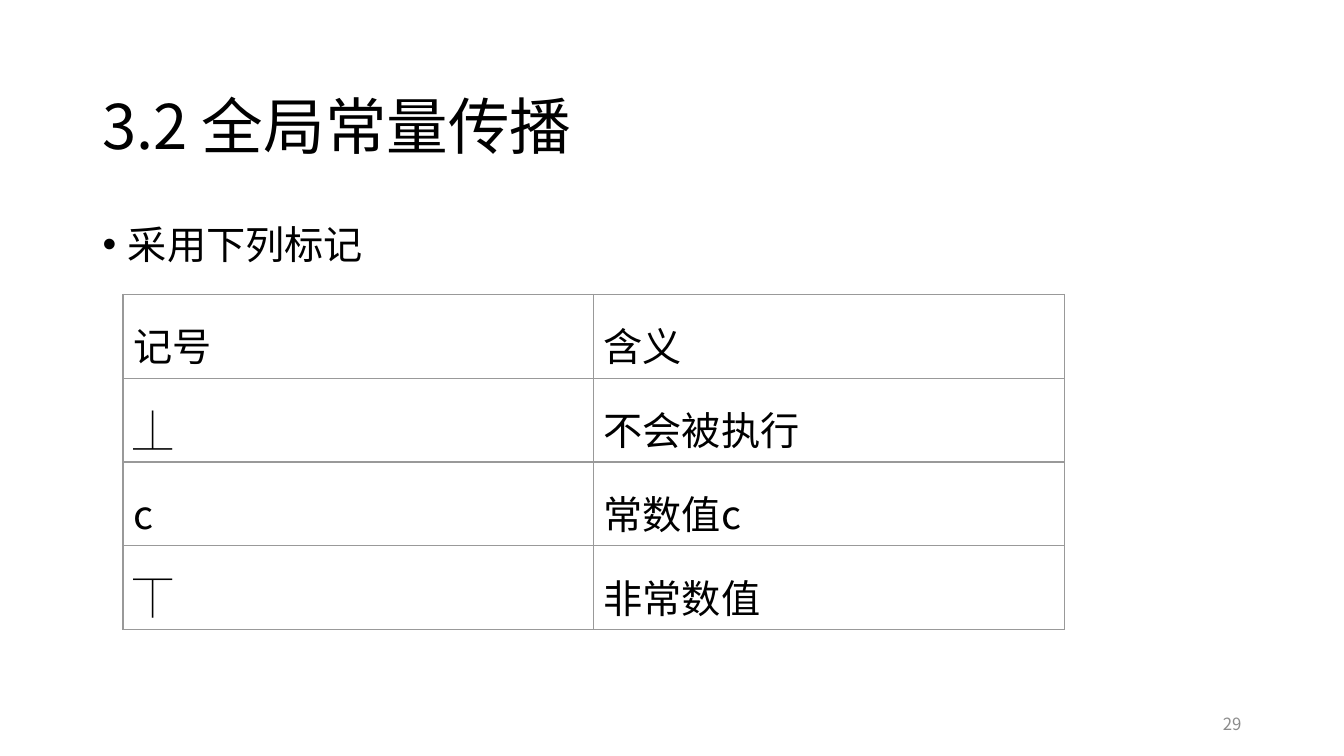
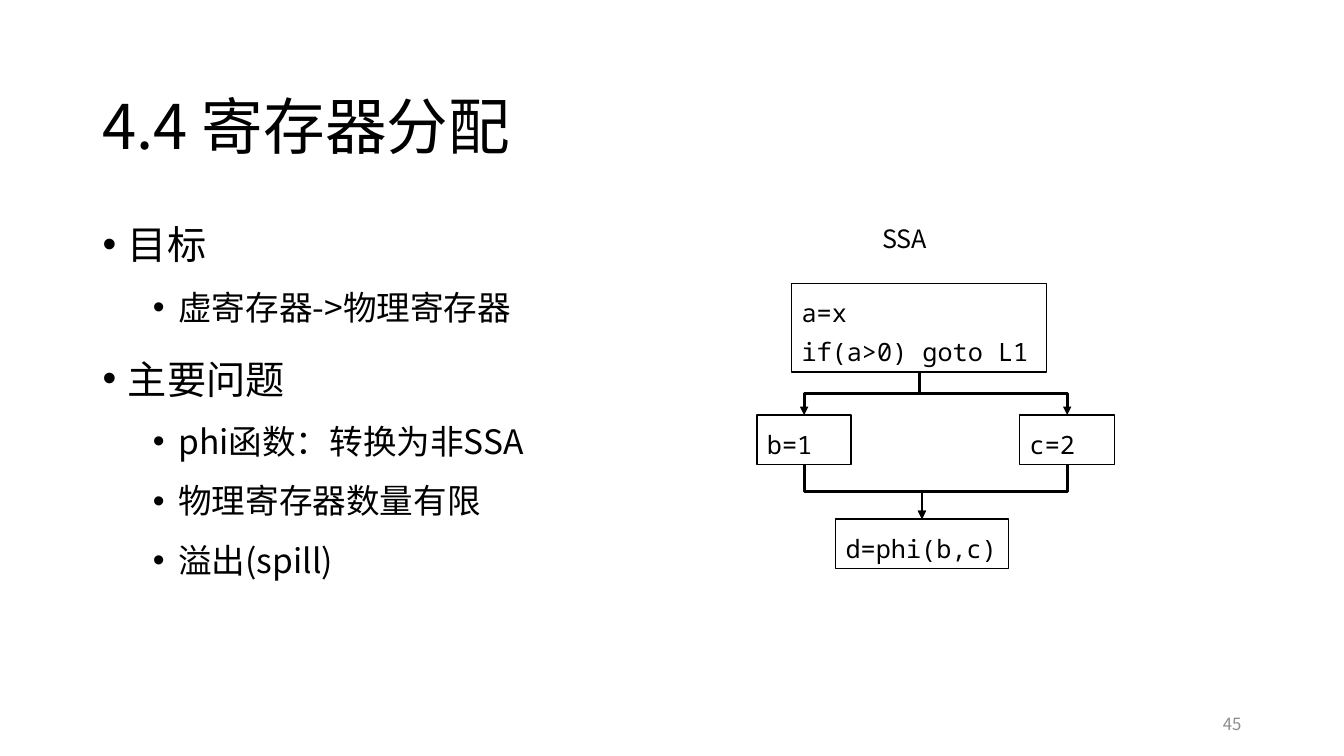
"""Build two compiler lecture slides: constant propagation marks and register allocation."""
from dataclasses import dataclass

from lxml import etree
from pptx import Presentation
from pptx.dml.color import RGBColor
from pptx.enum.shapes import MSO_CONNECTOR, MSO_SHAPE
from pptx.enum.text import MSO_ANCHOR, MSO_AUTO_SIZE, PP_ALIGN
from pptx.oxml.ns import qn
from pptx.presentation import Presentation as Deck
from pptx.shapes.autoshape import Shape
from pptx.slide import Slide
from pptx.text.text import TextFrame
from pptx.util import Cm, Pt

ELBOW = MSO_CONNECTOR.ELBOW
RECTANGLE = MSO_SHAPE.RECTANGLE
MIDDLE, TOP = MSO_ANCHOR.MIDDLE, MSO_ANCHOR.TOP
LEFT, RIGHT = PP_ALIGN.LEFT, PP_ALIGN.RIGHT
FIXED_SIZE = MSO_AUTO_SIZE.NONE
TOP_SIDE, BOTTOM_SIDE = 0, 2
QUARTER_TURN = "5400000"
LINE_SPACING = 1.3
COLOURS = {"text": "000000", "muted": "8C8C8C", "grid": "999999", "paper": "FFFFFF"}


@dataclass(frozen=True)
class Area:
    left: float
    top: float
    width: float
    height: float

    def lengths(self) -> tuple[Cm, Cm, Cm, Cm]:
        return Cm(self.left), Cm(self.top), Cm(self.width), Cm(self.height)


@dataclass(frozen=True)
class TextStyle:
    size: float
    font: str = "Noto Sans CJK SC"
    colour: str = "text"


@dataclass(frozen=True)
class BulletLevel:
    style: TextStyle
    margin: float
    space_before: float


@dataclass(frozen=True)
class Bullet:
    text: str
    level: int = 0


@dataclass(frozen=True)
class CodeBlock:
    name: str
    area: Area
    lines: tuple[str, ...]


TITLE_AREA = Area(2.33, 1.02, 29.21, 3.68)
NUMBER_AREA = Area(23.92, 17.65, 7.62, 1.01)
WIDE_BODY = Area(2.33, 5.07, 29.21, 12.09)
HALF_BODY = Area(2.33, 5.07, 14.88, 12.09)
LABEL_AREA = Area(21.98, 5.28, 4.93, 1.24)

TITLE_STYLE = TextStyle(44)
NUMBER_STYLE = TextStyle(12, colour="muted")
TABLE_STYLE = TextStyle(28, "Noto Sans CJK JP")
LABEL_STYLE = TextStyle(18, "Noto Sans CJK JP")
CODE_STYLE = TextStyle(18, "Noto Sans Mono")
BULLET_INDENT = 0.64
BULLET_LEVELS = (
    BulletLevel(TextStyle(28), 0.64, 10),
    BulletLevel(TextStyle(24), 1.91, 5),
)

MARKS = (
    ("记号", "含义"),
    ("⏊", "不会被执行"),
    ("c", "常数值c"),
    ("⏉", "非常数值"),
)
TABLE_LEFT, TABLE_TOP, COLUMN_WIDTH, ROW_HEIGHT = 3.1, 7.42, 11.86, 2.11

GOALS = (
    Bullet("目标"),
    Bullet("虚寄存器->物理寄存器", 1),
    Bullet("主要问题"),
    Bullet("phi函数：转换为非SSA", 1),
    Bullet("物理寄存器数量有限", 1),
    Bullet("溢出(spill)", 1),
)
CODE_BLOCKS = (
    CodeBlock("branch", Area(19.95, 7.14, 6.43, 2.24), ("a=x", "if(a>0) goto L1")),
    CodeBlock("then", Area(19.08, 10.46, 2.37, 1.24), ("b=1",)),
    CodeBlock("else", Area(25.7, 10.46, 2.39, 1.24), ("c=2",)),
    CodeBlock("merge", Area(21.06, 13.08, 4.35, 1.24), ("d=phi(b,c)",)),
)
FLOWS = (("branch", "then"), ("branch", "else"), ("then", "merge"), ("else", "merge"))


def colour(name: str) -> RGBColor:
    return RGBColor.from_string(COLOURS[name])


def place(shape: Shape, area: Area) -> None:
    shape.left, shape.top, shape.width, shape.height = area.lengths()


def write_lines(
    frame: TextFrame, lines: tuple[str, ...], style: TextStyle, alignment: PP_ALIGN = LEFT
) -> None:
    for index, line in enumerate(lines):
        paragraph = frame.add_paragraph() if index else frame.paragraphs[0]
        paragraph.alignment = alignment
        paragraph.line_spacing = LINE_SPACING
        run = paragraph.add_run()
        run.text = line
        run.font.size = Pt(style.size)
        run.font.color.rgb = colour(style.colour)
        run.font.name = style.font
        properties = run.font._element
        etree.SubElement(properties, qn("a:ea")).set("typeface", style.font)


def set_frame(frame: TextFrame, anchor: MSO_ANCHOR) -> None:
    frame.word_wrap = True
    frame.auto_size = FIXED_SIZE
    frame.vertical_anchor = anchor


def add_text(
    slide: Slide, area: Area, text: str, style: TextStyle, anchor: MSO_ANCHOR, alignment: PP_ALIGN
) -> None:
    frame = slide.shapes.add_textbox(*area.lengths()).text_frame
    set_frame(frame, anchor)
    write_lines(frame, (text,), style, alignment)


def fill_bullets(frame: TextFrame, bullets: tuple[Bullet, ...]) -> None:
    set_frame(frame, TOP)
    for index, bullet in enumerate(bullets):
        paragraph = frame.add_paragraph() if index else frame.paragraphs[0]
        level = BULLET_LEVELS[bullet.level]
        paragraph.level = bullet.level
        paragraph.alignment = LEFT
        paragraph.line_spacing = LINE_SPACING
        paragraph.space_before = Pt(level.space_before)
        properties = paragraph._p.get_or_add_pPr()
        properties.set("marL", str(Cm(level.margin)))
        properties.set("indent", str(-Cm(BULLET_INDENT)))
        etree.SubElement(properties, qn("a:buFont")).set("typeface", "Arial")
        etree.SubElement(properties, qn("a:buChar")).set("char", "•")
        run = paragraph.add_run()
        run.text = bullet.text
        run.font.size = Pt(level.style.size)
        run.font.color.rgb = colour(level.style.colour)
        run.font.name = level.style.font
        etree.SubElement(run.font._element, qn("a:ea")).set("typeface", level.style.font)


def add_lecture_slide(
    presentation: Deck, title: str, number: str, body: Area, bullets: tuple[Bullet, ...]
) -> Slide:
    slide = presentation.slides.add_slide(presentation.slide_layouts[1])
    title_shape, body_shape = slide.shapes.title, slide.placeholders[1]
    place(title_shape, TITLE_AREA)
    set_frame(title_shape.text_frame, MIDDLE)
    write_lines(title_shape.text_frame, (title,), TITLE_STYLE)
    place(body_shape, body)
    fill_bullets(body_shape.text_frame, bullets)
    add_text(slide, NUMBER_AREA, number, NUMBER_STYLE, MIDDLE, RIGHT)
    return slide


def add_mark_table(slide: Slide) -> None:
    row_count, column_count = len(MARKS), len(MARKS[0])
    area = Area(TABLE_LEFT, TABLE_TOP, COLUMN_WIDTH * column_count, ROW_HEIGHT * row_count)
    table = slide.shapes.add_table(row_count, column_count, *area.lengths()).table
    table.first_row = table.horz_banding = False
    for row_index, row in enumerate(MARKS):
        for column_index, text in enumerate(row):
            cell = table.cell(row_index, column_index)
            write_lines(cell.text_frame, (text,), TABLE_STYLE)
            properties = cell._tc.get_or_add_tcPr()
            for side in ("a:lnL", "a:lnR", "a:lnT", "a:lnB"):
                border = etree.SubElement(properties, qn(side), w=str(Pt(1)))
                fill = etree.SubElement(border, qn("a:solidFill"))
                etree.SubElement(fill, qn("a:srgbClr"), val=COLOURS["grid"])
            cell.fill.solid()
            cell.fill.fore_color.rgb = colour("paper")


def add_code_block(slide: Slide, block: CodeBlock) -> Shape:
    shape = slide.shapes.add_shape(RECTANGLE, *block.area.lengths())
    shape.shadow.inherit = False
    shape.fill.background()
    shape.line.color.rgb = colour("text")
    shape.line.width = Pt(1)
    set_frame(shape.text_frame, TOP)
    shape.text_frame.margin_right = 0
    write_lines(shape.text_frame, block.lines, CODE_STYLE)
    return shape


def add_flow(slide: Slide, source: Shape, target: Shape) -> None:
    start_x, start_y = source.left + source.width // 2, source.top + source.height
    end_x, end_y = target.left + target.width // 2, target.top
    connector = slide.shapes.add_connector(ELBOW, start_x, start_y, end_x, end_y)
    connector.begin_connect(source, BOTTOM_SIDE)
    connector.end_connect(target, TOP_SIDE)
    drop, reach = end_y - start_y, abs(end_x - start_x)
    connector.left = (start_x + end_x - drop) // 2
    connector.top = (start_y + end_y - reach) // 2
    connector.width, connector.height = drop, reach
    properties = connector._element.spPr
    transform = properties.find(qn("a:xfrm"))
    transform.set("rot", QUARTER_TURN)
    transform.set("flipH", "0")
    transform.set("flipV", "1" if end_x > start_x else "0")
    connector.line.color.rgb = colour("text")
    connector.line.width = Pt(2)
    etree.SubElement(connector.line._get_or_add_ln(), qn("a:tailEnd")).set("type", "triangle")
    etree.SubElement(properties, qn("a:effectLst"))


def build_constant_slide(presentation: Deck) -> None:
    slide = add_lecture_slide(
        presentation, "3.2 全局常量传播", "29", WIDE_BODY, (Bullet("采用下列标记"),)
    )
    add_mark_table(slide)


def build_register_slide(presentation: Deck) -> None:
    slide = add_lecture_slide(presentation, "4.4 寄存器分配", "45", HALF_BODY, GOALS)
    blocks = {block.name: add_code_block(slide, block) for block in CODE_BLOCKS}
    for source, target in FLOWS:
        add_flow(slide, blocks[source], blocks[target])
    add_text(slide, LABEL_AREA, "SSA", LABEL_STYLE, TOP, LEFT)


def main() -> None:
    presentation = Presentation()
    presentation.slide_width, presentation.slide_height = Cm(33.87), Cm(19.05)
    build_constant_slide(presentation)
    build_register_slide(presentation)
    presentation.save("out.pptx")


if __name__ == "__main__":
    main()
